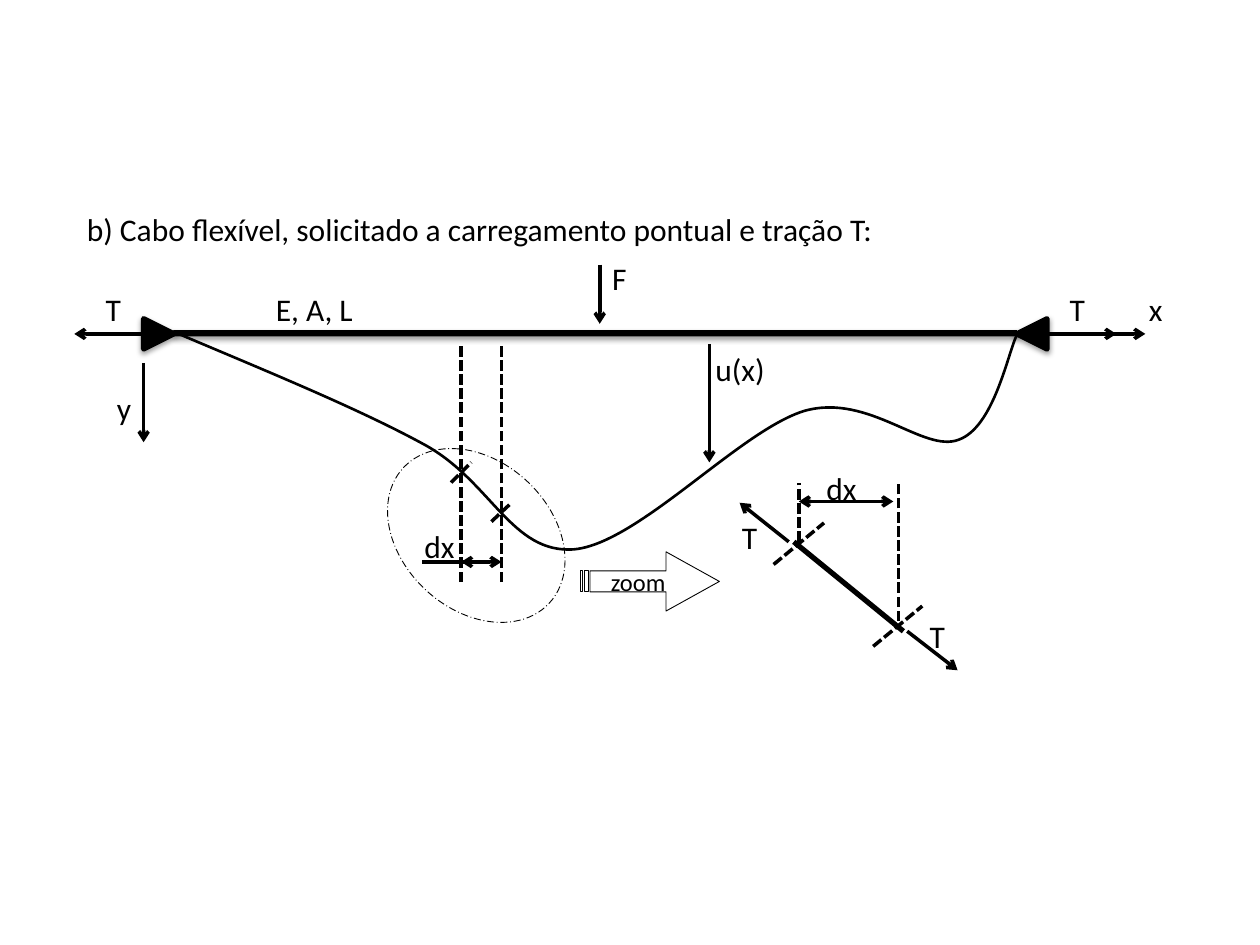
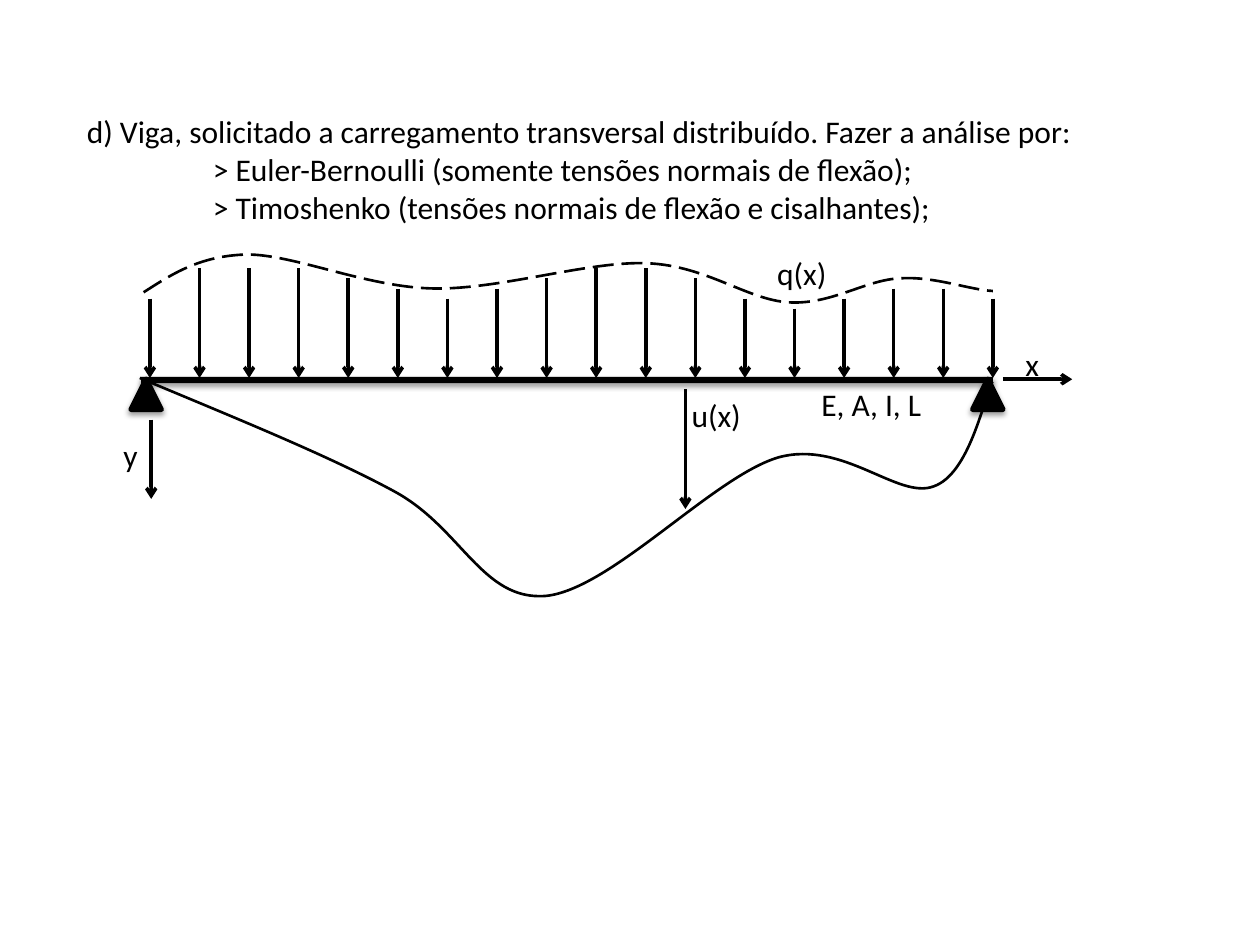
from typing import NamedTuple, Optional, Sequence

from lxml import etree
from pptx import Presentation
from pptx import util as u
from pptx.dml.color import RGBColor
from pptx.enum import dml, shapes, text
from pptx.oxml.ns import qn

BLACK = RGBColor(0x00, 0x00, 0x00)
FONT = "Calibri"
DASH = dml.MSO_LINE.SQUARE_DOT
SHAPE = shapes.MSO_SHAPE
LABEL_HEIGHT = 0.4
SUPPORT = 0.24
TAB_STOP = u.Inches(1)

Point = tuple[float, float]


class Label(NamedTuple):
    words: str
    left: float
    top: float
    width: float = 0.32
    height: float = LABEL_HEIGHT
    size: float = 18
    wrap: bool = False


class Line(NamedTuple):
    start: Point
    end: Point
    arrow: bool = False
    dash: Optional[dml.MSO_LINE] = None
    width: float = 2


def arrow(x1: float, y1: float, x2: float, y2: float) -> Line:
    return Line((x1, y1), (x2, y2), arrow=True)


def dashed(x1: float, y1: float, x2: float, y2: float) -> Line:
    return Line((x1, y1), (x2, y2), dash=DASH)


# Start point, then two control points and an end point per segment
DEFLECTION = [
    (0, 0),
    (0.73, 0.31), (1.47, 0.61), (2, 0.9),
    (2.53, 1.19), (2.69, 1.77), (3.19, 1.73),
    (3.7, 1.68), (4.51, 0.78), (5.02, 0.63),
    (5.53, 0.49), (5.96, 0.97), (6.24, 0.86),
    (6.52, 0.76), (6.63, 0.17), (6.7, 0.03),
]
LOAD_CURVE = [
    (1.14, 2.32),
    (1.36, 2.18), (1.58, 2.03), (1.96, 2.02),
    (2.34, 2.02), (2.91, 2.28), (3.44, 2.29),
    (3.97, 2.3), (4.67, 2.07), (5.14, 2.09),
    (5.61, 2.11), (5.93, 2.38), (6.26, 2.4),
    (6.6, 2.42), (6.87, 2.22), (7.14, 2.21),
    (7.41, 2.19), (7.69, 2.3), (7.88, 2.31),
]
# Steps below the highest load arrow, from left to right
LOAD_STEPS = [3, 0, 0, 0, 1, 2, 3, 2, 1, 0, 0, 1, 3, 4, 3, 2, 2, 3]


def add_tab_stop(p) -> None:
    tabs = etree.SubElement(p._p.get_or_add_pPr(), qn("a:tabLst"))
    etree.SubElement(tabs, qn("a:tab"), pos=str(TAB_STOP), algn="l")


def add_label(s, label: Label) -> None:
    """Add a text box with one paragraph per line of the label."""
    box = s.shapes.add_textbox(u.Inches(label.left), u.Inches(label.top),
                               u.Inches(label.width), u.Inches(label.height))
    tf = box.text_frame
    tf.word_wrap = label.wrap
    tf.auto_size = text.MSO_AUTO_SIZE.SHAPE_TO_FIT_TEXT
    for i, words in enumerate(label.words.split("\n")):
        p = tf.add_paragraph() if i else tf.paragraphs[0]
        if words.startswith("\t"):
            add_tab_stop(p)
        r = p.add_run()
        r.text = words
        r.font.name = FONT
        r.font.size = u.Pt(label.size)
        r.font.color.rgb = BLACK


def style_line(sp, width: float, dash: Optional[dml.MSO_LINE] = None) -> None:
    sp.line.color.rgb = BLACK
    sp.line.width = u.Pt(width)
    if dash is not None:
        sp.line.dash_style = dash


def add_line(s, line: Line) -> None:
    ends = [u.Inches(v) for v in (*line.start, *line.end)]
    cxn = s.shapes.add_connector(shapes.MSO_CONNECTOR.STRAIGHT, *ends)
    style_line(cxn, line.width, line.dash)
    if line.arrow:
        etree.SubElement(cxn.line._get_or_add_ln(), qn("a:tailEnd"), type="arrow")
    etree.SubElement(cxn._element.spPr, qn("a:effectLst"))


def add_plain(s, kind: SHAPE, left: float, top: float, width: float, height: float):
    sp = s.shapes.add_shape(kind, u.Inches(left), u.Inches(top),
                            u.Inches(width), u.Inches(height))
    sp.shadow.inherit = False
    return sp


def add_outline(s, kind: SHAPE, left: float, top: float, width: float, height: float,
                dash: Optional[dml.MSO_LINE] = None):
    sp = add_plain(s, kind, left, top, width, height)
    sp.fill.background()
    style_line(sp, 0.5, dash)
    return sp


def add_solid(s, kind: SHAPE, left: float, top: float, width: float, height: float):
    """Add a black shape with a soft shadow below it."""
    sp = add_plain(s, kind, left, top, width, height)
    sp.fill.solid()
    sp.fill.fore_color.rgb = BLACK
    sp.line.fill.background()
    effects = sp._element.spPr.find(qn("a:effectLst"))
    shadow = etree.SubElement(effects, qn("a:outerShdw"), blurRad=str(u.Pt(3.1)),
                              dist=str(u.Pt(1.6)), dir="5400000", rotWithShape="0")
    color = etree.SubElement(shadow, qn("a:srgbClr"), val=str(BLACK))
    etree.SubElement(color, qn("a:alpha"), val="38000")
    return sp


def add_support(s, left: float, top: float, rotation: float = 0) -> None:
    sp = add_solid(s, SHAPE.ISOSCELES_TRIANGLE, left, top, SUPPORT, SUPPORT)
    sp.rotation = rotation
    style_line(sp, 3)


def add_curve(s, points: Sequence[Point], dash: Optional[dml.MSO_LINE] = None) -> None:
    """Add an open Bezier outline by joining each three line steps into one curve."""
    start, *rest = [(u.Inches(x), u.Inches(y)) for x, y in points]
    builder = s.shapes.build_freeform(*start)
    builder.add_line_segments(rest, close=False)
    sp = builder.convert_to_shape()
    steps = list(sp._element.iter(qn("a:lnTo")))
    for i in range(0, len(steps), 3):
        curve = etree.Element(qn("a:cubicBezTo"))
        steps[i].addprevious(curve)
        for step in steps[i:i + 3]:
            curve.append(step[0])
            step.getparent().remove(step)
    sp.shadow.inherit = False
    sp.fill.background()
    style_line(sp, 1.5, dash)


def add_deflection(s, left: float, top: float, stretch: float = 1) -> None:
    add_curve(s, [(left + stretch * x, top + y) for x, y in DEFLECTION])


def draw_all(s, labels: Sequence[Label], lines: Sequence[Line]) -> None:
    for line in lines:
        add_line(s, line)
    for label in labels:
        add_label(s, label)


def build_cable_slide(s) -> None:
    add_solid(s, SHAPE.RECTANGLE, 1.38, 2.62, 6.69, 0.05)
    add_support(s, 1.14, 2.53, 90)
    add_support(s, 8.07, 2.53, 270)
    add_deflection(s, 1.37, 2.63)
    zoom_area = add_outline(s, SHAPE.OVAL, 2.99, 3.66, 1.58, 1.18,
                            dml.MSO_LINE.LONG_DASH_DOT)
    zoom_area.rotation = 42.9
    zoom_arrow = add_outline(s, SHAPE.STRIPED_RIGHT_ARROW, 4.61, 4.38, 1.1, 0.47)
    zoom_arrow.adjustments[0] = 0.354
    zoom_arrow.adjustments[1] = 0.901
    labels = [
        Label("b) Cabo flexível, solicitado a carregamento pontual e tração T:",
              0.59, 1.62, 6.51),
        Label("x", 9.02, 2.25, 0.31),
        Label("E, A, L", 2.09, 2.25, 0.82),
        Label("y", 0.83, 3.04),
        Label("F", 4.76, 2.01),
        Label("T", 8.39, 2.25),
        Label("T", 0.74, 2.25),
        Label("u(x)", 5.58, 2.73, 0.6),
        Label("dx", 3.27, 4.13, 0.44),
        Label("zoom", 4.75, 4.45, 0.64, 0.34, 14),
        Label("dx", 6.46, 3.67, 0.48, wrap=True),
        Label("T", 7.28, 4.85),
        Label("T", 5.79, 4.06),
    ]
    axes_and_forces = [
        arrow(1.14, 2.88, 1.14, 3.51),
        arrow(8.54, 2.65, 9.09, 2.65),
        arrow(4.76, 2.1, 4.76, 2.57),
        arrow(8.31, 2.65, 8.86, 2.65),
        arrow(1.14, 2.65, 0.59, 2.65),
        arrow(5.63, 2.73, 5.63, 3.67),
    ]
    element = [
        dashed(3.66, 4.62, 3.66, 2.73),
        dashed(3.98, 4.62, 3.98, 2.73),
        arrow(3.35, 4.46, 3.98, 4.46),
        arrow(3.82, 4.46, 3.66, 4.46),
        dashed(3.58, 3.83, 3.74, 3.67),
        dashed(3.9, 4.14, 4.06, 3.99),
    ]
    zoomed_element = [
        dashed(6.34, 4.3, 6.34, 3.83),
        dashed(7.13, 4.93, 7.13, 3.83),
        arrow(6.54, 3.98, 7.09, 3.98),
        arrow(6.73, 3.98, 6.34, 3.98),
        dashed(6.14, 4.48, 6.54, 4.15),
        dashed(6.93, 5.13, 7.32, 4.81),
        Line((6.3, 4.3), (7.17, 5.01), width=3),
        arrow(7.2, 5.01, 7.6, 5.32),
        arrow(6.26, 4.3, 5.87, 3.99),
    ]
    draw_all(s, labels, axes_and_forces + element + zoomed_element)


def build_beam_slide(s) -> None:
    add_solid(s, SHAPE.RECTANGLE, 1.12, 2.99, 6.76, 0.05)
    for left in (1.04, 7.72):
        add_support(s, left, 3.01)
    add_deflection(s, 1.11, 3, 1.01)
    add_curve(s, LOAD_CURVE, dml.MSO_LINE.LONG_DASH)
    labels = [
        Label("d) Viga, solicitado a carregamento transversal distribuído. "
              "Fazer a análise por:\n"
              "\t> Euler-Bernoulli (somente tensões normais de flexão);\n"
              "\t> Timoshenko (tensões normais de flexão e cisalhantes);",
              0.59, 0.84, 8.11, 1.01),
        Label("x", 8.04, 2.69, 0.31),
        Label("E, A, I, L", 6.42, 3.01, 1),
        Label("y", 0.88, 3.41),
        Label("q(x)", 6.07, 1.97, 0.6),
        Label("u(x)", 5.39, 3.09, 0.6),
    ]
    axes = [
        arrow(1.2, 3.33, 1.2, 3.96),
        arrow(7.96, 3.01, 8.51, 3.01),
        arrow(5.44, 3.09, 5.44, 4.04),
    ]
    first, last = 1.19, 7.88
    gap = (last - first) / (len(LOAD_STEPS) - 1)
    loads = [arrow(first + i * gap, 2.13 + 0.08 * step, first + i * gap, 3)
             for i, step in enumerate(LOAD_STEPS)]
    draw_all(s, labels, axes + loads)


def main() -> None:
    prs = Presentation()
    prs.slide_width, prs.slide_height = u.Inches(10), u.Inches(7.5)
    blank = prs.slide_layouts[6]
    for build in (build_cable_slide, build_beam_slide):
        build(prs.slides.add_slide(blank))
    prs.save("out.pptx")


if __name__ == "__main__":
    main()
